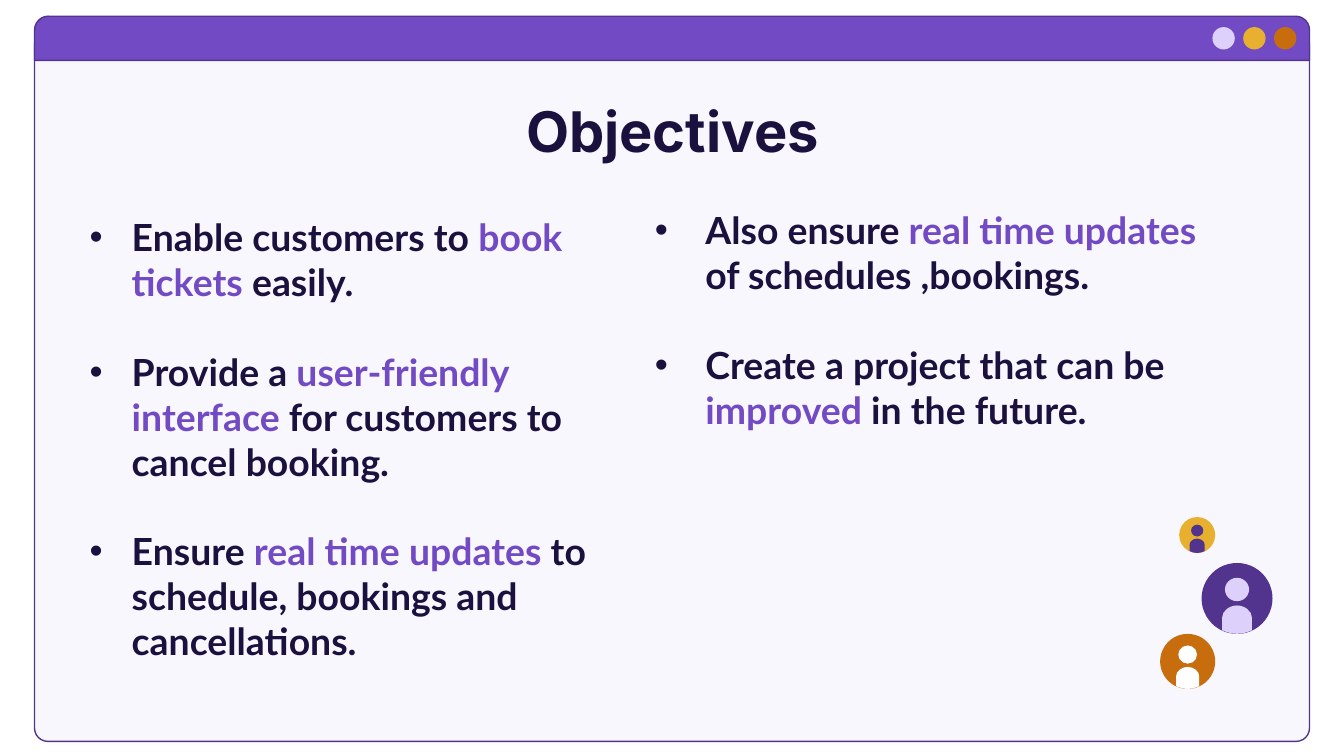
from dataclasses import dataclass

from lxml import etree
from pptx import Presentation
from pptx.dml.color import RGBColor
from pptx.enum.shapes import MSO_SHAPE
from pptx.enum.text import MSO_ANCHOR, PP_ALIGN
from pptx.oxml.ns import qn
from pptx.util import Pt

ELLIPSE = MSO_SHAPE.OVAL
ROUNDED_PAIR = MSO_SHAPE.ROUND_2_SAME_RECTANGLE
CENTER = PP_ALIGN.CENTER
TOP = MSO_ANCHOR.TOP

# Left half of a torso in a unit square: start, then three points per Bezier curve.
TORSO_LEFT = (
    (0.5, 0.6),
    (0.39, 0.6), (0.29, 0.68), (0.29, 0.77),
    (0.29, 0.95), (0.29, 0.95), (0.29, 0.95),
    (0.36, 0.98), (0.43, 1), (0.5, 1),
)
TORSO = TORSO_LEFT + tuple((1 - x, y) for x, y in TORSO_LEFT[-2::-1])


@dataclass(frozen=True)
class Theme:
    ink: str = "1A113F"
    purple: str = "724AC3"
    deep_purple: str = "52348F"
    lilac: str = "DDD0FB"
    yellow: str = "E7B02F"
    orange: str = "C76D0D"
    white: str = "FFFFFF"
    title_font: str = "Inter"
    body_font: str = "Lato"
    bullet_font: str = "Arial"
    title_size: float = 30
    body_size: float = 20
    line_width: float = 0.75
    inset: float = 7.2


THEME = Theme()


@dataclass(frozen=True)
class Frame:
    left: float
    top: float
    width: float
    height: float

    def lengths(self):
        return Pt(self.left), Pt(self.top), Pt(self.width), Pt(self.height)


@dataclass(frozen=True)
class Objective:
    before: str
    accent: str
    after: str


@dataclass(frozen=True)
class Column:
    frame: Frame
    indent: float
    objectives: tuple[Objective, ...]


@dataclass(frozen=True)
class Avatar:
    left: float
    top: float
    diameter: float
    back: str
    person: str


COLUMNS = (
    Column(Frame(41, 107.8, 292.3, 260), 22.5, (
        Objective("Enable customers to ", "book tickets", " easily."),
        Objective("Provide a ", "user-friendly interface", " for customers to cancel booking."),
        Objective("Ensure ", "real time updates ", "to schedule, bookings and cancellations."),
    )),
    Column(Frame(343.8, 104, 319, 185.8), 27, (
        Objective("Also ensure ", "real time updates ", "of schedules ,bookings."),
        Objective("Create a project that can be ", "improved", " in the future."),
    )),
)

AVATARS = (
    Avatar(643.7, 301.6, 38, THEME.deep_purple, THEME.lilac),
    Avatar(631.7, 277, 19.3, THEME.yellow, THEME.deep_purple),
    Avatar(621.5, 339.6, 29.5, THEME.orange, THEME.white),
)


def paint(shape, fill: str, line: str | None = None) -> None:
    shape.shadow.inherit = False
    shape.fill.solid()
    shape.fill.fore_color.rgb = RGBColor.from_string(fill)
    if line is None:
        shape.line.fill.background()
    else:
        shape.line.color.rgb = RGBColor.from_string(line)
        shape.line.width = Pt(THEME.line_width)


def add_panel(slide, frame: Frame, top_corner: float, bottom_corner: float, fill: str):
    panel = slide.shapes.add_shape(ROUNDED_PAIR, *frame.lengths())
    panel.adjustments[0] = top_corner
    panel.adjustments[1] = bottom_corner
    paint(panel, fill, THEME.deep_purple)
    return panel


def add_ellipse(slide, frame: Frame, fill: str) -> None:
    paint(slide.shapes.add_shape(ELLIPSE, *frame.lengths()), fill)


def set_opacity(shape, percent: int) -> None:
    color = shape.fill._xPr.find(qn("a:solidFill"))[0]
    etree.SubElement(color, qn("a:alpha"), val=str(percent * 1000))


def add_window(slide) -> None:
    body = add_panel(slide, Frame(18.5, 23, 683, 374.2), 0, 0.019, THEME.lilac)
    set_opacity(body, 15)
    add_panel(slide, Frame(18.5, 8.7, 683, 23.7), 0.312, 0, THEME.purple)
    for index, color in enumerate((THEME.lilac, THEME.yellow, THEME.orange)):
        add_ellipse(slide, Frame(649.5 + 16.5 * index, 14.5, 12, 12), color)


def add_text_box(slide, frame: Frame):
    text_frame = slide.shapes.add_textbox(*frame.lengths()).text_frame
    text_frame.word_wrap = True
    text_frame.vertical_anchor = TOP
    text_frame.margin_left = text_frame.margin_right = Pt(THEME.inset)
    text_frame.margin_top = text_frame.margin_bottom = Pt(THEME.inset)
    return text_frame


def style_span(span, font: str, size: float, color: str) -> None:
    span.font.name = font
    span.font.size = Pt(size)
    span.font.bold = True
    span.font.color.rgb = RGBColor.from_string(color)


def add_bullet(para, indent: float) -> None:
    properties = para._p.get_or_add_pPr()
    properties.set("marL", str(Pt(indent)))
    properties.set("indent", str(-Pt(indent)))
    color = etree.SubElement(properties, qn("a:buClr"))
    etree.SubElement(color, qn("a:srgbClr"), val=THEME.ink)
    etree.SubElement(properties, qn("a:buFont"), typeface=THEME.bullet_font)
    etree.SubElement(properties, qn("a:buChar"), char="•")


def add_title(slide) -> None:
    text_frame = add_text_box(slide, Frame(47.8, 44.6, 625, 45.4))
    text_frame.text = "Objectives"
    para = text_frame.paragraphs[0]
    para.alignment = CENTER
    style_span(para.runs[0], THEME.title_font, THEME.title_size, THEME.ink)


def add_column(slide, column: Column) -> None:
    text_frame = add_text_box(slide, column.frame)
    for index, objective in enumerate(column.objectives):
        para = text_frame.add_paragraph() if index else text_frame.paragraphs[0]
        if index:
            para.space_before = Pt(1.2 * THEME.body_size)
        add_bullet(para, column.indent)
        for text, color in (
            (objective.before, THEME.ink),
            (objective.accent, THEME.purple),
            (objective.after, THEME.ink),
        ):
            span = para.add_run()
            span.text = text
            style_span(span, THEME.body_font, THEME.body_size, color)


def curve_lines(shape) -> None:
    """Turn every three line segments of a freeform into one Bezier curve."""
    lines = list(shape._element.iter(qn("a:lnTo")))
    for start in range(0, len(lines), 3):
        curve = etree.Element(qn("a:cubicBezTo"))
        lines[start].addprevious(curve)
        for line in lines[start:start + 3]:
            curve.append(line[0])
            line.getparent().remove(line)


def add_avatar(slide, avatar: Avatar) -> None:
    left, top, size = avatar.left, avatar.top, avatar.diameter
    add_ellipse(slide, Frame(left, top, size, size), avatar.back)
    head = Frame(left + 0.33 * size, top + 0.21 * size, 0.34 * size, 0.33 * size)
    add_ellipse(slide, head, avatar.person)
    points = [(Pt(left + x * size), Pt(top + y * size)) for x, y in TORSO]
    builder = slide.shapes.build_freeform(*points[0])
    builder.add_line_segments(points[1:], close=False)
    torso = builder.convert_to_shape()
    curve_lines(torso)
    paint(torso, avatar.person)


def main() -> None:
    deck = Presentation()
    deck.slide_width, deck.slide_height = Pt(720), Pt(405)
    page = deck.slides.add_slide(deck.slide_layouts[6])
    add_window(page)
    add_title(page)
    for column in COLUMNS:
        add_column(page, column)
    for avatar in AVATARS:
        add_avatar(page, avatar)
    deck.save("out.pptx")


if __name__ == "__main__":
    main()
